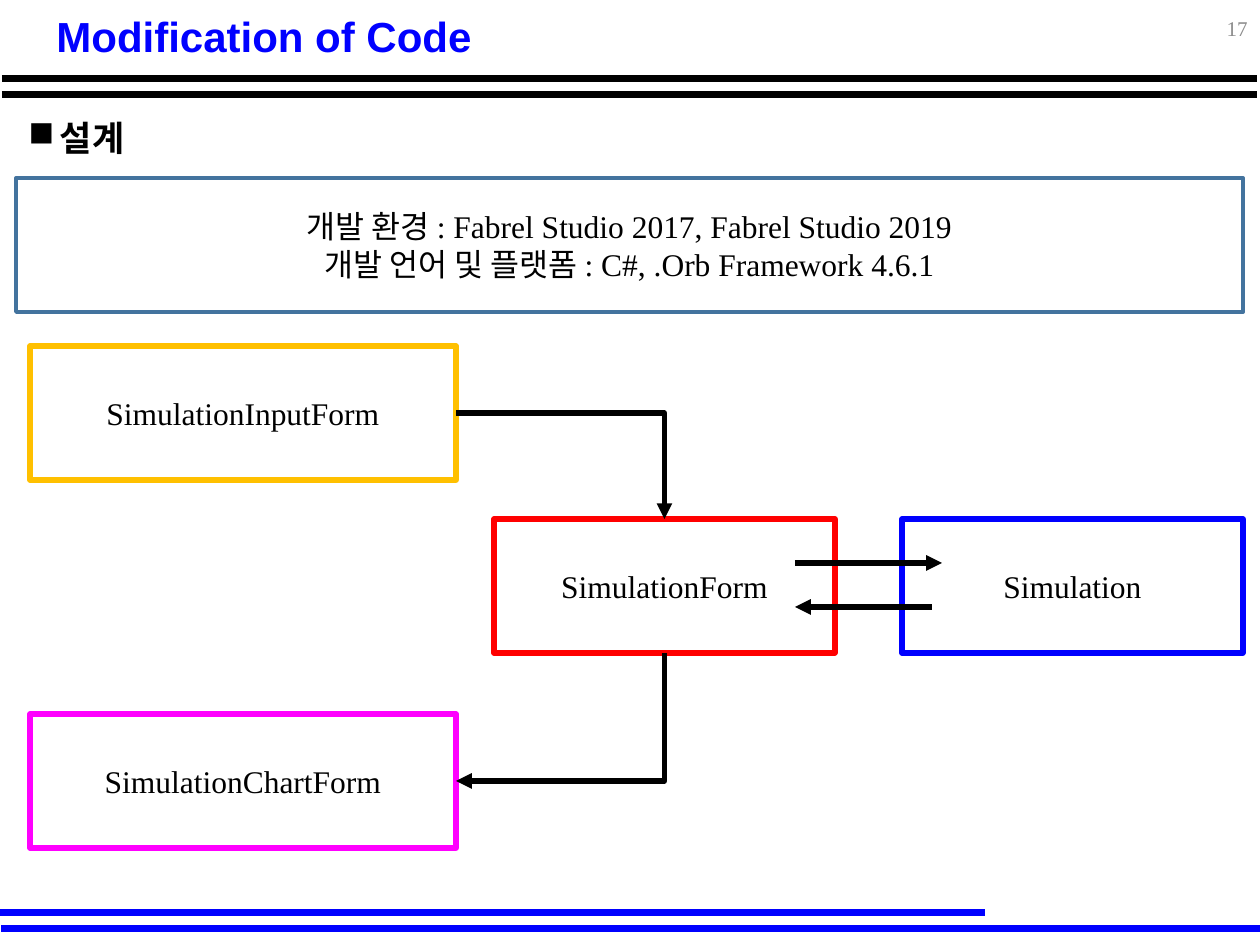
from lxml import etree
from pptx import Presentation, util as u
from pptx.dml.color import RGBColor
from pptx.enum import shapes, text
from pptx.oxml.ns import qn

PX = 914400 / 126
COLORS = {"black": "000000", "blue": "0000FF", "steel": "43739E", "amber": "FFC000",
          "magenta": "FF00FF", "red": "FF0000", "gray": "8C8C8C"}
MIDDLE, TOP = text.MSO_ANCHOR.MIDDLE, text.MSO_ANCHOR.TOP
LEFT, CENTER, RIGHT = text.PP_ALIGN.LEFT, text.PP_ALIGN.CENTER, text.PP_ALIGN.RIGHT
STRAIGHT, ELBOW = shapes.MSO_CONNECTOR.STRAIGHT, shapes.MSO_CONNECTOR.ELBOW

prs = Presentation()
prs.slide_width, prs.slide_height = u.Inches(10), u.Inches(7.5)
slide = prs.slides.add_slide(prs.slide_layouts[6])


def write(words, at, size=18, font="Times New Roman", color="black", bold=False,
          align=CENTER, anchor=MIDDLE, spacing=None, border=None, border_pt=3):
    """Place lines of text, in a bordered rectangle if a border color is given."""
    box = [round(v * PX) for v in at]
    if border:
        holder = slide.shapes.add_shape(shapes.MSO_SHAPE.RECTANGLE, *box)
        holder.shadow.inherit = False
        holder.fill.background()
        holder.line.color.rgb = RGBColor.from_string(COLORS[border])
        holder.line.width = u.Pt(border_pt)
    else:
        holder = slide.shapes.add_textbox(*box)
    frame = holder.text_frame
    frame.word_wrap = True
    frame.vertical_anchor = anchor
    frame.text = words
    for para in frame.paragraphs:
        para.alignment = align
        para.line_spacing = spacing
        para.font.size, para.font.name, para.font.bold = u.Pt(size), font, bold
        para.font.color.rgb = RGBColor.from_string(COLORS[color])
    return holder


def connect(start, end, kind=STRAIGHT, color="black", width=3, arrow=None):
    """Draw a line; arrow is "headEnd" (at start) or "tailEnd" (at end)."""
    line = slide.shapes.add_connector(kind, *[round(v * PX) for v in (*start, *end)])
    line.line.color.rgb = RGBColor.from_string(COLORS[color])
    line.line.width = u.Pt(width)
    props = line._element.spPr
    if arrow:
        etree.SubElement(props.find(qn("a:ln")), qn("a:" + arrow), type="triangle")
    if kind == ELBOW:  # one single corner
        props.find(qn("a:prstGeom")).set("prst", "bentConnector2")
    etree.SubElement(props, qn("a:effectLst"))
    return line


# Header and footer rules
for left, right, y, color in [(2, 1257, 79, "black"), (2, 1257, 95, "black"),
                              (0, 985, 913, "blue"), (1, 1260, 929, "blue")]:
    connect((left, y), (right, y), color=color, width=4)

# Title, page number and section heading
write("Modification of Code", (44, 13, 1163, 52), size=24, font="Arial",
      color="blue", bold=True, align=LEFT, spacing=0.9)
write("17", (1207, 3, 53, 50), size=12, color="gray", align=RIGHT)
heading = write("설계", (16, 115, 1227, 50), size=20, bold=True, align=LEFT,
                anchor=TOP, spacing=0.9)
heading_props = heading.text_frame.paragraphs[0]._p.get_or_add_pPr()
heading_props.set("marL", "228600")
heading_props.set("indent", "-228600")
bullet = etree.Element(qn("a:buChar"), char="■")
heading_props.find(qn("a:lnSpc")).addnext(bullet)

# Development environment
write("개발 환경 : Fabrel Studio 2017, Fabrel Studio 2019\n"
      "개발 언어 및 플랫폼 : C#, .Orb Framework 4.6.1",
      (16, 178, 1227, 134), border="steel", border_pt=2.25)

# Classes
classes = {}
for name, left, top, width, color in [
        ("SimulationInputForm", 30, 346, 426, "amber"),
        ("SimulationChartForm", 30, 714, 426, "magenta"),
        ("SimulationForm", 494, 519, 341, "red"),
        ("Simulation", 902, 519, 341, "blue")]:
    classes[name] = write(name, (left, top, width, 134), border=color)

# Input flows into the form, and the form into the chart
for name, y, form_y, form_side, arrow in [
        ("SimulationInputForm", 413, 519, 0, "tailEnd"),
        ("SimulationChartForm", 781, 653, 2, "headEnd")]:
    flow = connect((456, y), (664, form_y), kind=ELBOW, arrow=arrow)
    flow.begin_connect(classes[name], 3)
    flow.end_connect(classes["SimulationForm"], form_side)

# Exchange between form and simulation
connect((795, 563), (942, 563), arrow="tailEnd")
connect((932, 607), (795, 607), arrow="tailEnd")

prs.save("out.pptx")
